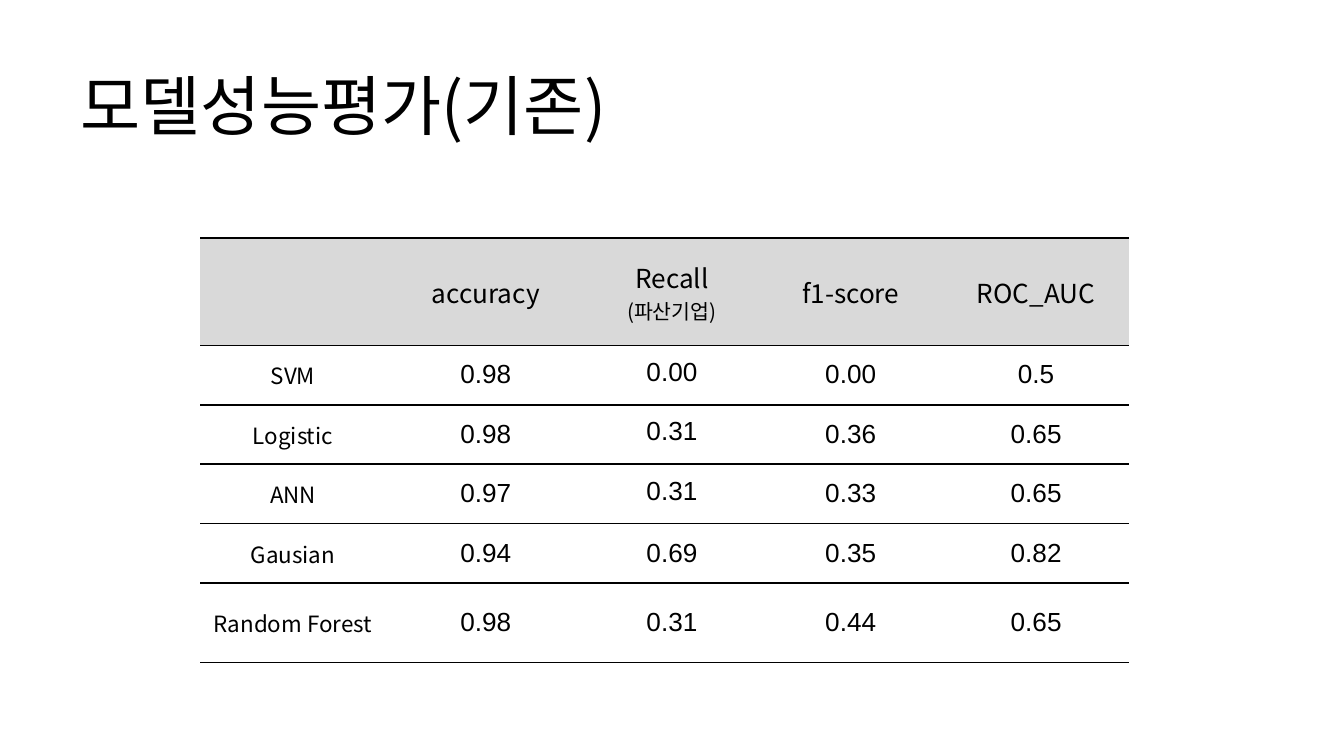
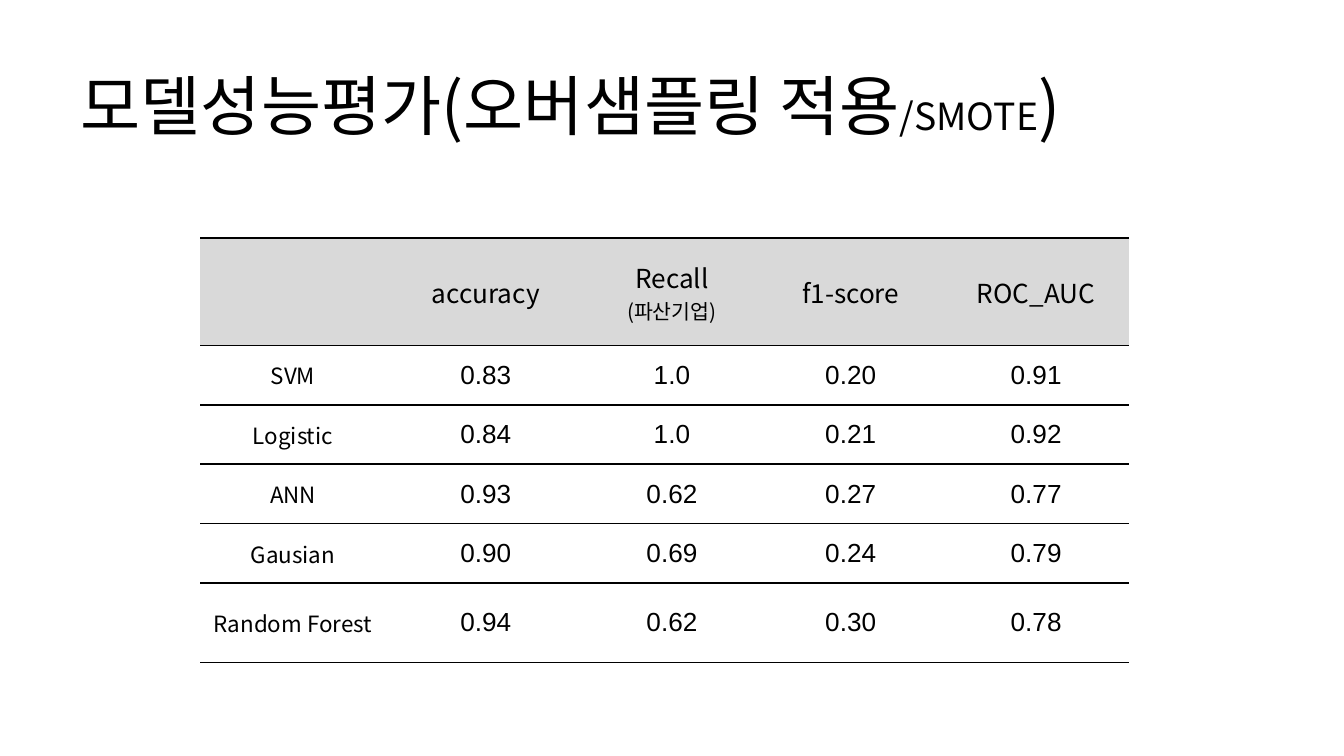
import dataclasses

import lxml.etree
import pptx
import pptx.dml.color
import pptx.enum.text
import pptx.oxml.ns
import pptx.util


@dataclasses.dataclass(frozen=True)
class Theme:
    """Colours, fonts and type sizes shared by the slides."""
    ink: str = "000000"
    paper: str = "FFFFFF"
    header: str = "D9D9D9"
    label_font: str = "Noto Sans CJK KR"
    value_font: str = "Arial"
    title: int = 35
    title_note: int = 20
    body: int = 14
    label: int = 12
    note: int = 11
    rule: int = 1


THEME = Theme()
WIDTH = pptx.util.Inches(10)
HEIGHT = pptx.util.Inches(5.625)
GRID_COLS = 100
TITLE_BOX = (5, 4, 90, 7.6)
TABLE_AT = (14.9, 17.7)
COL_WIDTHS = (13.8, 14.9, 12.8, 13.8, 13.8)
ROW_HEIGHTS = (8, 4, 4.2, 4.1, 4.4, 5.9)
PLAIN_STYLE = "{2D5ABB26-0587-4C30-8999-92F81FD0307C}"
MIDDLE = pptx.enum.text.MSO_ANCHOR.MIDDLE
TOP = pptx.enum.text.MSO_ANCHOR.TOP

LABEL_PAD = (0.1, 0.1)
TIGHT_PAD = (0.07, 0.09)
LOOSE_PAD = (0.08, 0.11)
METRICS = ("accuracy", "Recall", "f1-score", "ROC_AUC")
METRIC_NOTES = {"Recall": "(파산기업)"}
MODELS = ("SVM", "Logistic", "ANN", "Gausian", "Random Forest")
BASE_SCORES = (
    ("0.98", "0.00", "0.00", "0.5"),
    ("0.98", "0.31", "0.36", "0.65"),
    ("0.97", "0.31", "0.33", "0.65"),
    ("0.94", "0.69", "0.35", "0.82"),
    ("0.98", "0.31", "0.44", "0.65"),
)
SMOTE_SCORES = (
    ("0.83", "1.0", "0.20", "0.91"),
    ("0.84", "1.0", "0.21", "0.92"),
    ("0.93", "0.62", "0.27", "0.77"),
    ("0.90", "0.69", "0.24", "0.79"),
    ("0.94", "0.62", "0.30", "0.78"),
)


def grid(units):
    """Convert grid units, each a hundredth of the slide width, to a length."""
    return pptx.util.Emu(round(units * WIDTH / GRID_COLS))


def rgb(value):
    """Return the colour for a hex string."""
    return pptx.dml.color.RGBColor.from_string(value)


def child(parent, tag, **attrs):
    """Append a DrawingML element with the given attributes."""
    return lxml.etree.SubElement(parent, pptx.oxml.ns.qn(tag), **attrs)


def add_run(p, text, size, font=THEME.label_font):
    """Add one formatted run for Latin and East Asian text."""
    r = p.add_run()
    r.text = text
    r.font.size = pptx.util.Pt(size)
    r.font.name = font
    r.font.color.rgb = rgb(THEME.ink)
    child(r.font._element, "a:ea", typeface=font)


def add_title(s, runs):
    """Place the title placeholder and fill it with (text, size) runs."""
    sp = s.shapes.title
    sp.left, sp.top, sp.width, sp.height = map(grid, TITLE_BOX)
    tf = sp.text_frame
    tf.auto_size = pptx.enum.text.MSO_AUTO_SIZE.NONE
    tf.vertical_anchor = MIDDLE
    p = tf.paragraphs[0]
    p.alignment = pptx.enum.text.PP_ALIGN.LEFT
    for text, size in runs:
        add_run(p, text, size)


def rule_cell(cell):
    """Draw the rules above and below a cell."""
    props = cell._tc.get_or_add_tcPr()
    for index, tag in enumerate(("a:lnT", "a:lnB")):
        line = child(props, tag, w=str(pptx.util.Pt(THEME.rule)))
        child(child(line, "a:solidFill"), "a:srgbClr", val=THEME.ink)
        props.insert(index, line)


def fill_cell(cell, lines, font=THEME.label_font, pad=LABEL_PAD, anchor=MIDDLE, fill=THEME.paper):
    """Style a table cell and write one centred paragraph per (text, size) line."""
    cell.fill.solid()
    cell.fill.fore_color.rgb = rgb(fill)
    rule_cell(cell)
    cell.margin_left = cell.margin_right = pptx.util.Inches(pad[0])
    cell.margin_top = cell.margin_bottom = pptx.util.Inches(pad[1])
    cell.vertical_anchor = anchor
    tf = cell.text_frame
    for i, (text, size) in enumerate(lines):
        p = tf.add_paragraph() if i else tf.paragraphs[0]
        p.alignment = pptx.enum.text.PP_ALIGN.CENTER
        add_run(p, text, size, font)


def add_plain_table(s):
    """Add an unstyled table on the shared column and row grid."""
    sp = s.shapes.add_table(
        len(ROW_HEIGHTS), len(COL_WIDTHS), *map(grid, TABLE_AT),
        grid(sum(COL_WIDTHS)), grid(sum(ROW_HEIGHTS)))
    table = sp.table
    table.first_row = table.horz_banding = False
    table._tbl.tblPr.find(pptx.oxml.ns.qn("a:tableStyleId")).text = PLAIN_STYLE
    for column, width in zip(table.columns, COL_WIDTHS):
        column.width = grid(width)
    for row, height in zip(table.rows, ROW_HEIGHTS):
        row.height = grid(height)
    return table


def add_score_table(s, scores, pads, top_rows=0):
    """Add the model scores, with the first top_rows rows of values set to the top."""
    table = add_plain_table(s)
    fill_cell(table.cell(0, 0), (), fill=THEME.header)
    for col, metric in enumerate(METRICS, 1):
        lines = [(metric, THEME.body)]
        if metric in METRIC_NOTES:
            lines.append((METRIC_NOTES[metric], THEME.note))
        fill_cell(table.cell(0, col), lines, fill=THEME.header)
    for row, (model, values) in enumerate(zip(MODELS, scores), 1):
        fill_cell(table.cell(row, 0), [(model, THEME.label)])
        anchor = TOP if row <= top_rows else MIDDLE
        for col, (value, pad) in enumerate(zip(values, pads), 1):
            fill_cell(table.cell(row, col), [(value, THEME.body)], THEME.value_font, pad, anchor)


def add_slide(prs, title, scores, pads, top_rows=0):
    """Add one evaluation slide."""
    s = prs.slides.add_slide(prs.slide_layouts[5])
    add_title(s, title)
    add_score_table(s, scores, pads, top_rows)


def main():
    """Build the deck."""
    prs = pptx.Presentation()
    prs.slide_width, prs.slide_height = WIDTH, HEIGHT
    add_slide(prs, [("모델성능평가(기존)", THEME.title)], BASE_SCORES,
              (LOOSE_PAD, TIGHT_PAD, LOOSE_PAD, LOOSE_PAD), top_rows=3)
    add_slide(prs, [("모델성능평가(오버샘플링 적용", THEME.title),
                    ("/SMOTE", THEME.title_note), (")", THEME.title)],
              SMOTE_SCORES, (TIGHT_PAD,) * len(METRICS))
    prs.save("out.pptx")


if __name__ == "__main__":
    main()
